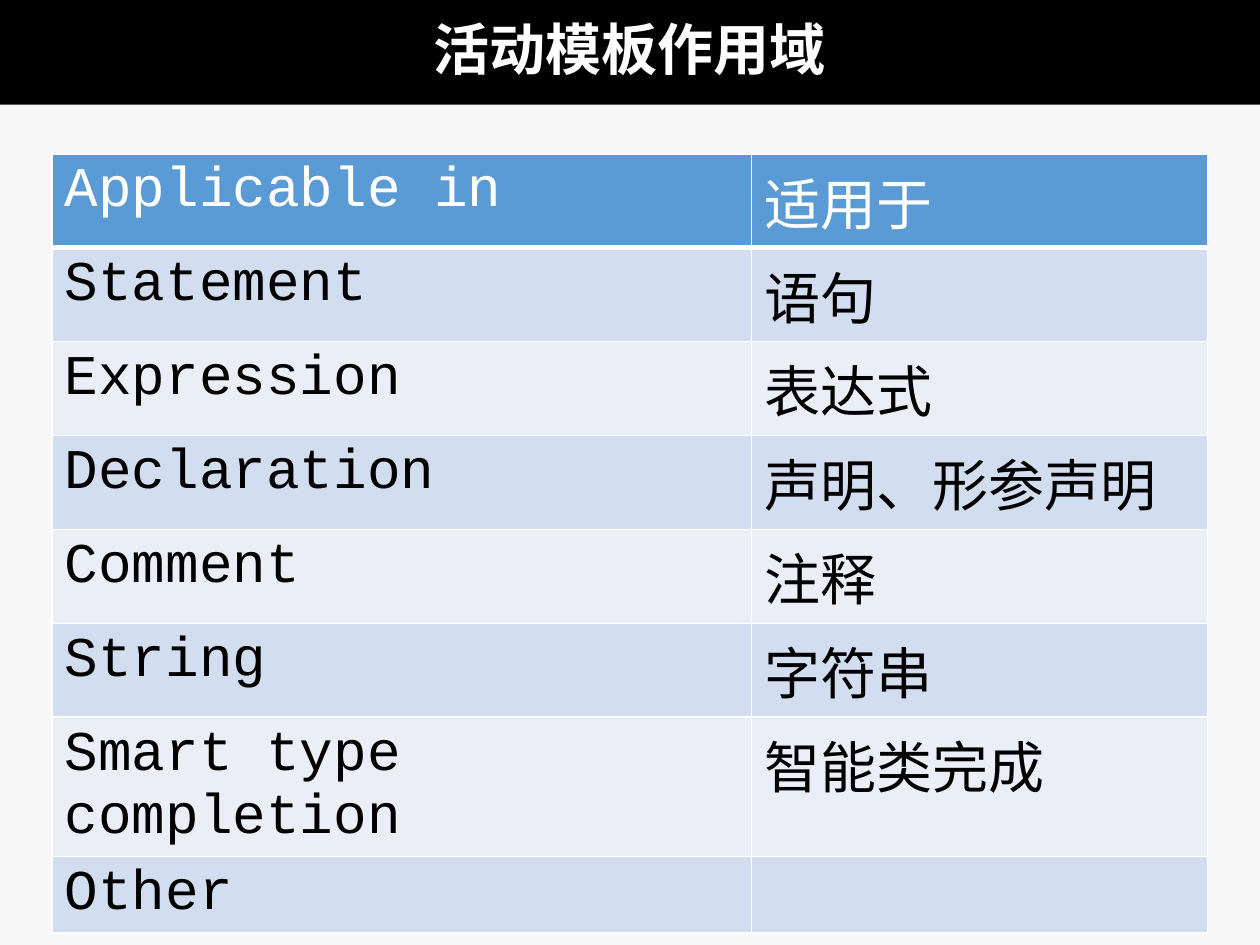
from lxml import etree
from pptx import Presentation
from pptx import util as u
from pptx.dml.color import RGBColor
from pptx.enum import shapes, text
from pptx.oxml import ns

BLACK = RGBColor(0x00, 0x00, 0x00)
WHITE = RGBColor(0xFF, 0xFF, 0xFF)
PAPER = RGBColor(0xF7, 0xF7, 0xF7)
HEADER = RGBColor(0x5B, 0x9B, 0xD5)
BANDS = (RGBColor(0xEA, 0xEF, 0xF7), RGBColor(0xD2, 0xDE, 0xEF))

CODE_FONT = "Courier New"
CHINESE_FONT = "Noto Sans CJK SC"

SCOPES = [
    ("Applicable in", "适用于"),
    ("Statement", "语句"),
    ("Expression", "表达式"),
    ("Declaration", "声明、形参声明"),
    ("Comment", "注释"),
    ("String", "字符串"),
    ("Smart type completion", "智能类完成"),
    ("Other", ""),
]
COLUMN_WIDTHS = (u.Cm(14.1), u.Cm(9.19))
ROW_HEIGHTS = [u.Cm(0.94)] * 6 + [u.Cm(1.37)] * 2


def style_span(span, font_name, color, bold=False):
    span.font.size = u.Pt(32)
    span.font.name = font_name
    span.font.bold = bold
    span.font.color.rgb = color
    east_asian = etree.Element(ns.qn("a:ea"), typeface=CHINESE_FONT)
    span.font._element.find(ns.qn("a:latin")).addnext(east_asian)


def set_borders(cell, widths):
    properties = cell._tc.get_or_add_tcPr()
    for position, (side, width) in enumerate(widths.items()):
        line = etree.Element(ns.qn(f"a:ln{side}"), w=str(u.Pt(width)))
        fill = etree.SubElement(line, ns.qn("a:solidFill"))
        etree.SubElement(fill, ns.qn("a:srgbClr"), val=str(WHITE))
        properties.insert(position, line)


def add_title_bar(page, left, top, width, height):
    bar = page.shapes.add_shape(shapes.MSO_SHAPE.RECTANGLE, left, top, width, height)
    bar.shadow.inherit = False
    bar.fill.solid()
    bar.fill.fore_color.rgb = BLACK
    bar.line.fill.background()
    bar.text_frame.text = "活动模板作用域"
    bar.text_frame.vertical_anchor = text.MSO_ANCHOR.MIDDLE
    para = bar.text_frame.paragraphs[0]
    para.alignment = text.PP_ALIGN.CENTER
    para.line_spacing = 0.9
    style_span(para.runs[0], CHINESE_FONT, WHITE, bold=True)


def add_scope_table(page, left, top, width, height):
    frame = page.shapes.add_table(len(SCOPES), len(COLUMN_WIDTHS), left, top, width, height)
    table = frame.table
    for column, column_width in zip(table.columns, COLUMN_WIDTHS):
        column.width = column_width
    for row, row_height in zip(table.rows, ROW_HEIGHTS):
        row.height = row_height
    frame.height = height
    for row_index, words in enumerate(SCOPES):
        is_header = row_index == 0
        borders = {"L": 1, "R": 1, "T": 3 if row_index == 1 else 1, "B": 3 if is_header else 1}
        for column_index, word in enumerate(words):
            cell = table.cell(row_index, column_index)
            cell.fill.solid()
            cell.fill.fore_color.rgb = HEADER if is_header else BANDS[row_index % 2]
            set_borders(cell, borders)
            if word:
                cell.text_frame.text = word
                span = cell.text_frame.paragraphs[0].runs[0]
                style_span(span, CODE_FONT, WHITE if is_header else BLACK)


def main():
    deck = Presentation()
    deck.slide_width = u.Cm(25.4)
    deck.slide_height = u.Cm(19.05)
    page = deck.slides.add_slide(deck.slide_layouts[6])
    page.background.fill.solid()
    page.background.fill.fore_color.rgb = PAPER
    add_title_bar(page, 0, 0, deck.slide_width, u.Cm(2.11))
    add_scope_table(page, u.Cm(1.05), u.Cm(3.1), sum(COLUMN_WIDTHS), u.Cm(12.88))
    deck.save("out.pptx")


if __name__ == "__main__":
    main()
